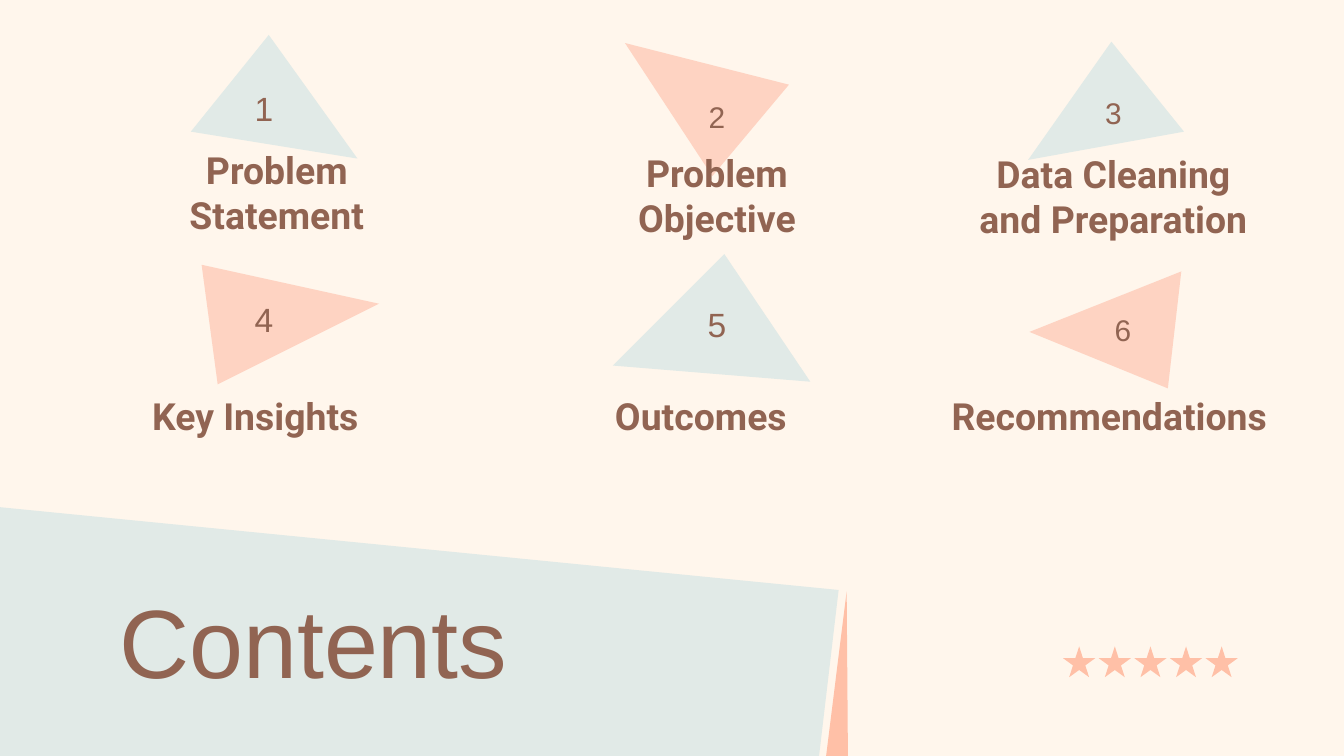
from pptx import Presentation
from pptx.dml.color import RGBColor
from pptx.enum.shapes import MSO_SHAPE
from pptx.enum.text import MSO_ANCHOR, PP_ALIGN
from pptx.util import Inches, Pt

CREAM = RGBColor(0xFF, 0xF6, 0xEC)
MIST = RGBColor(0xE1, 0xEA, 0xE7)
PEACH = RGBColor(0xFE, 0xD3, 0xC2)
CORAL = RGBColor(0xFF, 0xC0, 0xA7)
BROWN = RGBColor(0x91, 0x64, 0x52)

TITLE = "Contents"
PANEL = [(6.08, 5.75), (-0.3, 5.73), (-0.34, 3.74), (6.24, 4.39)]
SLIVER = [(6.3, 4.4), (6.31, 5.74), (6.13, 5.76)]
STAR_COUNT, STAR_LEFT, STAR_TOP, STAR_PITCH = 5, 7.91, 4.81, 0.265
STAR_SIZE = (0.24, 0.23)

SECTIONS = [
    {"label": "Problem Statement", "label_box": (0.82, 1.22, 2.48, 0.42),
     "number_box": (1.53, 0.65, 0.87, 0.31), "number_size": 18,
     "triangle": [(1.42, 0.98), (2, 0.26), (2.66, 1.18)]},
    {"label": "Problem Objective", "label_box": (4.1, 1.24, 2.47, 0.42),
     "number_box": (4.9, 0.71, 0.87, 0.31), "number_size": 16,
     "triangle": [(5.87, 0.63), (5.3, 1.31), (4.65, 0.32)]},
    {"label": "Data Cleaning and Preparation", "label_box": (7.05, 1.26, 2.47, 0.4),
     "number_box": (7.63, 0.6, 1.31, 0.47), "number_size": 16,
     "triangle": [(8.81, 0.98), (8.27, 0.31), (7.65, 1.19)]},
    {"label": "Key Insights", "label_box": (0.66, 2.88, 2.48, 0.42),
     "number_box": (1.53, 2.22, 0.87, 0.31), "number_size": 18,
     "triangle": [(1.5, 1.97), (1.62, 2.86), (2.82, 2.26)]},
    {"label": "Outcomes", "label_box": (3.94, 2.88, 2.55, 0.42),
     "number_box": (4.9, 2.26, 0.87, 0.31), "number_size": 18,
     "triangle": [(4.56, 2.72), (5.39, 1.89), (6.03, 2.84)]},
    {"label": "Recommendations", "label_box": (6.89, 2.88, 2.73, 0.42),
     "number_box": (7.92, 2.3, 0.87, 0.31), "number_size": 16,
     "triangle": [(8.79, 2.02), (8.69, 2.89), (7.66, 2.47)]},
]


def paint(shape, color):
    shape.shadow.inherit = False
    shape.fill.solid()
    shape.fill.fore_color.rgb = color
    shape.line.fill.background()


def add_polygon(slide, points, color):
    corners = [(Inches(x), Inches(y)) for x, y in points]
    builder = slide.shapes.build_freeform(*corners[0])
    builder.add_line_segments(corners[1:], close=True)
    paint(builder.convert_to_shape(), color)


def add_text(slide, text, box, size, font_name="Arial", bold=False,
             align=PP_ALIGN.CENTER, anchor=MSO_ANCHOR.MIDDLE):
    frame = slide.shapes.add_textbox(*map(Inches, box)).text_frame
    margins = {f"margin_{side}": Inches(0.1) for side in ("left", "top", "right", "bottom")}
    for name, value in {"word_wrap": True, "vertical_anchor": anchor, **margins}.items():
        setattr(frame, name, value)
    paragraph = frame.paragraphs[0]
    paragraph.alignment = align
    run = paragraph.add_run()
    run.text = text
    for name, value in {"name": font_name, "size": Pt(size), "bold": bold}.items():
        setattr(run.font, name, value)
    run.font.color.rgb = BROWN


def add_stars(slide):
    for index in range(STAR_COUNT):
        place = (STAR_LEFT + index * STAR_PITCH, STAR_TOP, *STAR_SIZE)
        star = slide.shapes.add_shape(MSO_SHAPE.STAR_5_POINT, *map(Inches, place))
        paint(star, CORAL)


def main():
    presentation = Presentation()
    presentation.slide_width, presentation.slide_height = Inches(10), Inches(5.625)
    slide = presentation.slides.add_slide(presentation.slide_layouts[6])
    slide.background.fill.solid()
    slide.background.fill.fore_color.rgb = CREAM

    add_polygon(slide, PANEL, MIST)
    add_polygon(slide, SLIVER, CORAL)
    add_stars(slide)
    add_text(slide, TITLE, (0.79, 4.23, 8.43, 1.12), 52,
             align=PP_ALIGN.LEFT, anchor=MSO_ANCHOR.TOP)

    for number, section in enumerate(SECTIONS, start=1):
        add_polygon(slide, section["triangle"], MIST if number % 2 else PEACH)
        add_text(slide, section["label"], section["label_box"], 20, "Roboto", bold=True)
        add_text(slide, str(number), section["number_box"], section["number_size"])

    presentation.save("out.pptx")


if __name__ == "__main__":
    main()
